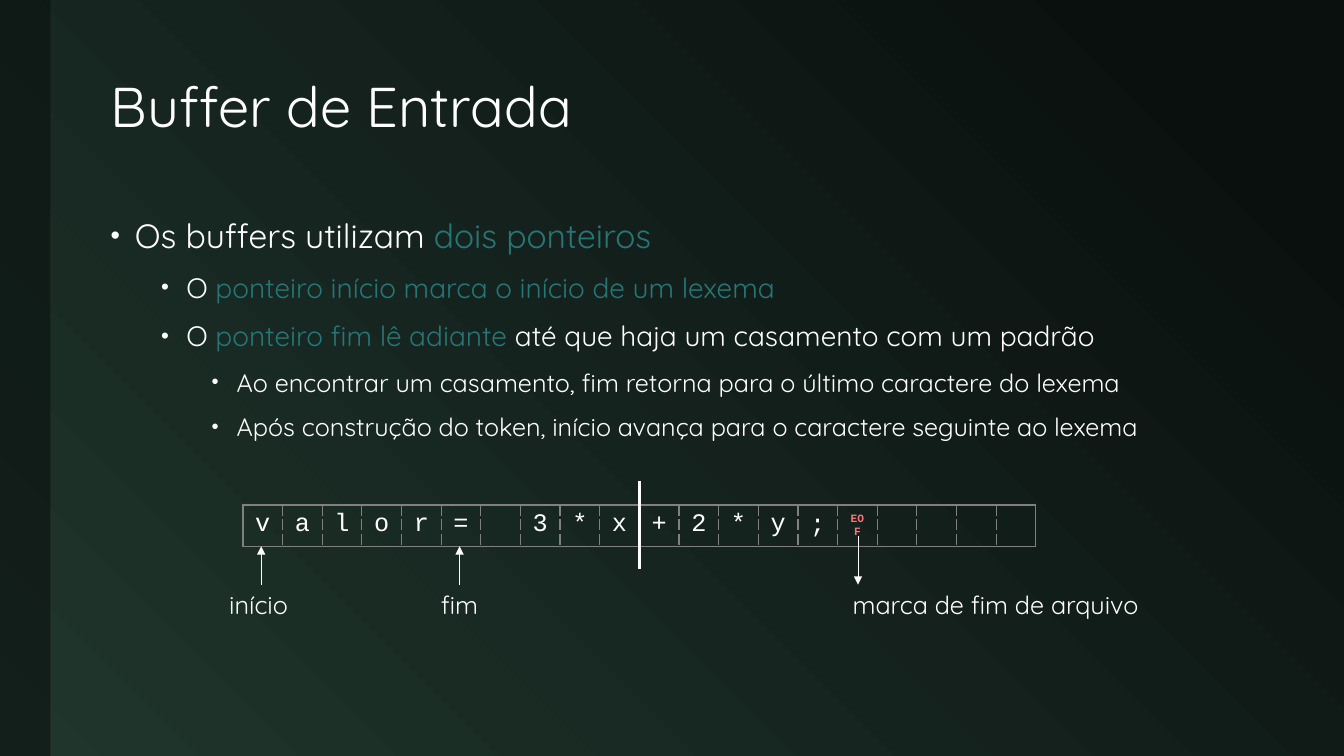
from dataclasses import dataclass

from lxml import etree
from pptx import Presentation
from pptx.dml.color import RGBColor
from pptx.enum.shapes import MSO_CONNECTOR, MSO_SHAPE
from pptx.enum.text import MSO_ANCHOR, MSO_AUTO_SIZE, PP_ALIGN
from pptx.oxml.ns import qn
from pptx.util import Pt

LINE = MSO_CONNECTOR.STRAIGHT
RECT = MSO_SHAPE.RECTANGLE
MIDDLE = MSO_ANCHOR.MIDDLE
LEFT, CENTER = PP_ALIGN.LEFT, PP_ALIGN.CENTER
FIT, FIXED = MSO_AUTO_SIZE.SHAPE_TO_FIT_TEXT, MSO_AUTO_SIZE.NONE


@dataclass(frozen=True)
class Theme:
    dark: str = "0A100E"
    green: str = "20362D"
    text: str = "FFFFFF"
    teal: str = "267577"
    grid: str = "808080"
    mark: str = "FF7575"
    sans: str = "Quicksand"
    mono: str = "Courier New"
    title: int = 40
    levels: tuple = (24, 20, 18)
    label: int = 18
    small: int = 8


T = Theme()

# Level, then (text, colour) runs
POINTS = [
    (0, [("Os buffers utilizam ", T.text), ("dois ponteiros", T.teal)]),
    (1, [("O ", T.text),
         ("ponteiro início marca o início de um lexema", T.teal)]),
    (1, [("O ", T.text), ("ponteiro fim lê adiante ", T.teal),
         ("até que haja um casamento com um padrão", T.text)]),
    (2, [("Ao encontrar um casamento, fim retorna para o último "
          "caractere do lexema", T.text)]),
    (2, [("Após construção do token, início avança para o caractere "
          "seguinte ao lexema", T.text)]),
]
# Left margin, hanging indent and space before, by level
INDENTS = [(17.3, 17.3, 18), (54, 18, 6), (90, 18, 6)]

CHARS = [*"valor= 3*x+2*y;", "EOF"]
SLOTS = 20
SLOT = 28.33
GRID_X, GRID_Y, GRID_H = 173.5, 360.7, 29.5
LABEL_Y, LABEL_H = 417.6, 29.1


def rgb(code):
    return RGBColor.from_string(code)


def apply(item, values):
    for name, value in values.items():
        setattr(item, name, value)


def node(parent, tag, **attrs):
    return etree.SubElement(parent, qn(tag), attrs)


def add_run(par, text, size, color=T.text, font=T.sans, bold=False):
    run = par.add_run()
    run.text = text
    apply(run.font, {"name": font, "size": Pt(size), "bold": bold})
    run.font.color.rgb = rgb(color)


def paint_back(slide):
    fill = slide.background.fill
    fill.gradient()
    fill.gradient_angle = 225
    for stop, (color, place) in zip(
            fill.gradient_stops, [(T.dark, 0.1), (T.green, 1)]):
        stop.color.rgb = rgb(color)
        stop.position = place


def add_band(slide):
    band = slide.shapes.add_shape(RECT, 0, 0, Pt(36), Pt(540))
    band.shadow.inherit = False
    band.line.fill.background()
    band.fill.solid()
    band.fill.fore_color.rgb = rgb(T.dark)
    color = band.fill._xPr.find(".//" + qn("a:srgbClr"))
    node(color, "a:alpha", val="60000")


def set_title(slide, text):
    title = slide.shapes.title
    apply(title, {"left": Pt(72), "top": Pt(30.2),
                  "width": Pt(838.8), "height": Pt(95.8)})
    frame = title.text_frame
    apply(frame, {"vertical_anchor": MIDDLE, "auto_size": FIXED,
                  "word_wrap": True})
    par = frame.paragraphs[0]
    apply(par, {"alignment": LEFT, "line_spacing": 0.9})
    add_run(par, text, T.title)


def add_points(slide):
    box = slide.shapes.add_textbox(Pt(72), Pt(144), Pt(838.8), Pt(347.8))
    frame = box.text_frame
    frame.word_wrap = True
    for index, (level, runs) in enumerate(POINTS):
        par = frame.add_paragraph() if index else frame.paragraphs[0]
        margin, hang, before = INDENTS[level]
        apply(par, {"level": level, "line_spacing": 1.2,
                    "space_before": Pt(before)})
        props = par._p.get_or_add_pPr()
        props.set("marL", str(Pt(margin)))
        props.set("indent", str(-Pt(hang)))
        node(props, "a:buSzPct", val="80000")
        node(props, "a:buFont", typeface="Arial")
        node(props, "a:buChar", char="•")
        for text, color in runs:
            add_run(par, text, T.levels[level], color)


def set_edges(cell, dashed):
    """Draw all four cell borders, dashing the named sides."""
    props = cell._tc.get_or_add_tcPr()
    for index, side in enumerate("LRTB"):
        edge = etree.Element(qn("a:ln" + side), w=str(Pt(1)))
        node(node(edge, "a:solidFill"), "a:srgbClr", val=T.grid)
        node(edge, "a:prstDash", val="sysDash" if side in dashed else "solid")
        props.insert(index, edge)


def add_buffer(slide):
    table = slide.shapes.add_table(
        1, SLOTS, Pt(GRID_X), Pt(GRID_Y), Pt(SLOT * SLOTS), Pt(GRID_H)).table
    apply(table, {"first_row": False, "horz_banding": False})
    table.rows[0].height = Pt(GRID_H)
    for index, column in enumerate(table.columns):
        column.width = Pt(SLOT)
        cell = table.cell(0, index)
        cell.fill.background()
        set_edges(cell, {0: "R", SLOTS - 1: "L"}.get(index, "LR"))
        text = CHARS[index] if index < len(CHARS) else ""
        if not text.strip():
            continue
        par = cell.text_frame.paragraphs[0]
        par.alignment = CENTER
        if text in (";", "EOF"):
            cell.vertical_anchor = MIDDLE
        if text == "EOF":
            add_run(par, text, T.small, T.mark, T.mono, True)
        else:
            add_run(par, text, T.label, font=T.mono)


def add_label(slide, text, left, width):
    box = slide.shapes.add_textbox(
        Pt(left), Pt(LABEL_Y), Pt(width), Pt(LABEL_H))
    apply(box.text_frame, {"word_wrap": False, "auto_size": FIT})
    add_run(box.text_frame.paragraphs[0], text, T.label)
    return box


def add_line(slide, x, start, end, width, arrow=False):
    line = slide.shapes.add_connector(LINE, Pt(x), Pt(start), Pt(x), Pt(end))
    line.line.width = Pt(width)
    line.line.color.rgb = rgb(T.text)
    if arrow:
        node(line.line._get_or_add_ln(), "a:tailEnd", type="triangle")
    node(line._element.spPr, "a:effectLst")
    return line


def main():
    deck = Presentation()
    apply(deck, {"slide_width": Pt(960), "slide_height": Pt(540)})
    slide = deck.slides.add_slide(deck.slide_layouts[5])
    paint_back(slide)
    add_band(slide)
    set_title(slide, "Buffer de Entrada")
    add_points(slide)
    add_buffer(slide)
    add_line(slide, GRID_X + SLOT * 10, 343.4, 406.1, 1.5)
    for text, left, width in [("início", 156.6, 60), ("fim", 307.8, 41)]:
        box = add_label(slide, text, left, width)
        arrow = add_line(slide, left + width / 2, LABEL_Y,
                         GRID_Y + GRID_H, 0.5, True)
        arrow.begin_connect(box, 0)
    add_line(slide, 612.9, 383, LABEL_Y, 0.5, True)
    add_label(slide, "marca de fim de arquivo", 601.9, 235.4)
    deck.save("out.pptx")


if __name__ == "__main__":
    main()
